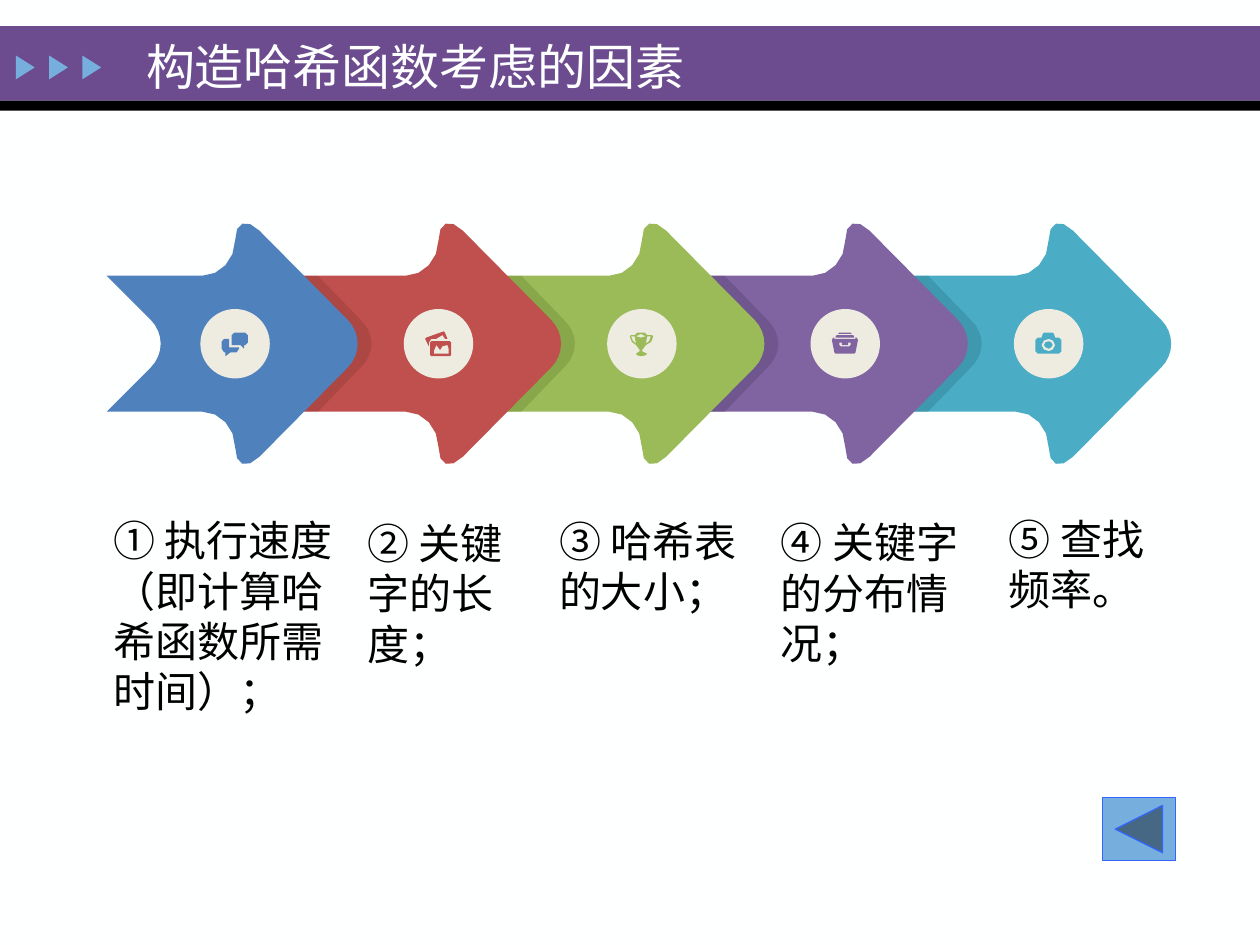
import pptx
import pptx.util
import pptx.dml.color
import pptx.enum.shapes
import pptx.enum.text
import pptx.oxml
import pptx.oxml.ns

Cm, Pt = pptx.util.Cm, pptx.util.Pt
SHAPE = pptx.enum.shapes.MSO_SHAPE
FONT = "Times New Roman"

# Outlines: a pair is a corner, six numbers are a Bezier curve to the last pair.
# Arrow parts are upper halves in cm, measured from the tail on the centre line.
HEAD = [(5.87, 0), (5.87, -0.18, 5.8, -0.35, 5.67, -0.48), (3.89, -2.28),
        (3.63, -2.54, 3.4, -2.46, 3.4, -2.08), (3.4, -1.7, 3.1, -1.37, 2.74, -1.37)]
ROUND_TAIL = [(0.69, -1.37), (0.3, -1.37, 0, -1.07, 0, -0.69)]
NOTCHED_TAIL = [(0.81, -1.37), (1.7, -0.48), (1.83, -0.35, 1.9, -0.18, 1.9, 0)]
SHADE = [(2.05, 0), (2.05, -0.18, 1.97, -0.35, 1.83, -0.48), (0.97, -1.37)] + ROUND_TAIL

# Icons, in units of 0.025 cm
CHAT = [
    [(6, 13), (6, 6), (2, 6), (0, 8), (0, 14), (2, 17), (3, 17), (3, 20), (7, 17),
     (12, 17), (14, 14), (14, 13)],
    [(19, 1), (10, 1), (8, 3), (8, 11), (15, 11), (18, 14), (18, 11), (19, 11),
     (21, 9), (21, 3)]]
PHOTOS = [
    [(18, 6), (16, 1), (15, 0), (1, 5), (0, 6), (3, 12), (3, 9), (5, 6), (9, 6),
     (14, 3), (16, 6)],
    [(20, 8), (5, 8), (4, 9), (4, 19), (5, 20), (20, 20), (21, 19), (21, 9)],
    [(19, 18), (7, 18), (7, 16), (9, 11), (12, 15), (14, 12), (18, 11), (19, 14)]]
TROPHY = [
    [(11, 15), (14, 11), (17, 10, 20, 8, 20, 4), (19, 3), (15, 3),
     (13, 1), (7, 1), (5, 3), (2, 3), (1, 4), (1, 8, 4, 10, 6, 11),
     (9, 15), (9, 16), (6, 18), (6, 19, 8, 20, 10, 20),
     (13, 20, 15, 19, 15, 18), (11, 16)],
    [(14, 10), (15, 4), (18, 4), (18, 7, 16, 9, 14, 10)],
    [(10, 2), (14, 4), (10, 5), (6, 4)],
    [(2, 4), (5, 4), (6, 10), (4, 9, 3, 7, 2, 4)]]
DRAWER = [
    [(18, 4), (17, 3), (4, 3), (3, 4), (3, 5), (18, 5)],
    [(15, 1), (6, 1), (5, 2), (16, 2)],
    [(20, 5), (19, 5), (19, 6), (2, 6), (2, 5), (1, 5), (0, 7), (2, 17), (3, 18),
     (18, 18), (19, 17), (21, 7)],
    [(15, 11), (14, 12), (7, 12), (6, 11), (6, 9), (8, 9), (8, 11), (13, 11),
     (13, 9), (15, 9)]]
CAMERA = [
    [(11, 8), (9, 8, 7, 9, 7, 11), (7, 12, 9, 14, 11, 14), (12, 14, 14, 12, 14, 11),
     (14, 9, 12, 8, 11, 8)],
    [(19, 5), (16, 5), (15, 2), (14, 1), (7, 1), (6, 2), (5, 5), (2, 5), (0, 7),
     (0, 16), (2, 18), (19, 18), (21, 16), (21, 7)],
    [(11, 16), (8, 16, 5, 14, 5, 11), (5, 8, 8, 6, 11, 6), (13, 6, 16, 8, 16, 11),
     (16, 14, 13, 16, 11, 16)]]

# Arrow colour, shade colour and opacity, icon
STEPS = [("4F81BD", None, 0, CHAT), ("C0504D", "632523", 20, PHOTOS),
         ("9BBB59", "77933C", 50, TROPHY), ("8064A2", "604A7B", 50, DRAWER),
         ("4BACC6", "31859C", 50, CAMERA)]
# Text, left, width, height
FACTORS = [("① 执行速度（即计算哈希函数所需时间）；", 2.03, 5.03, 4.14),
           ("② 关键字的长度；", 7.16, 3.76, 3.23),
           ("③ 哈希表的大小；", 11.02, 4.45, 2.13),
           ("④ 关键字的分布情况；", 15.49, 4.17, 3.2),
           ("⑤ 查找频率。", 20.09, 3.68, 2.06)]


def rgb(color):
    return pptx.dml.color.RGBColor.from_string(color)


def paint(sp, color, line=None, opacity=100):
    sp.shadow.inherit = False
    sp.fill.solid()
    sp.fill.fore_color.rgb = rgb(color)
    if opacity < 100:
        clr = sp._element.spPr.find(".//" + pptx.oxml.ns.qn("a:srgbClr"))
        clr.append(pptx.oxml.parse_xml(
            f'<a:alpha {pptx.oxml.ns.nsdecls("a")} val="{opacity * 1000}"/>'))
    if line:
        sp.line.color.rgb = rgb(line)
        sp.line.width = Pt(0.75)
    else:
        sp.line.fill.background()


def add_preset(s, kind, x, y, w, h, color, line=None):
    sp = s.shapes.add_shape(kind, Cm(x), Cm(y), Cm(w), Cm(h))
    paint(sp, color, line)
    return sp


def trace(outline, steps):
    """Turn corners and curves into a list of points."""
    points = []
    for seg in outline:
        if len(seg) == 2:
            points.append(seg)
            continue
        (x0, y0), (x1, y1, x2, y2, x3, y3) = points[-1], seg
        for i in range(1, steps + 1):
            t = i / steps
            a, b, c, d = (1 - t) ** 3, 3 * t * (1 - t) ** 2, 3 * t * t * (1 - t), t ** 3
            points.append((a * x0 + b * x1 + c * x2 + d * x3,
                           a * y0 + b * y1 + c * y2 + d * y3))
    return points


def mirror(half):
    points = trace(half, 4)
    return points + [(x, -y) for x, y in reversed(points) if y]


def add_outline(s, contours, x, y, color, unit=1.0, opacity=100):
    placed = [[(Cm(x + px * unit), Cm(y + py * unit)) for px, py in c] for c in contours]
    fb = s.shapes.build_freeform(*placed[0][0], scale=1.0)
    for i, points in enumerate(placed):
        if i:
            fb.move_to(*points[0])
        fb.add_line_segments(points[1:], close=True)
    paint(fb.convert_to_shape(), color, opacity=opacity)


def write(sp, text, size, color):
    tf = sp.text_frame
    tf.word_wrap = True
    tf.auto_size = pptx.enum.text.MSO_AUTO_SIZE.NONE
    tf.vertical_anchor = pptx.enum.text.MSO_ANCHOR.MIDDLE
    p = tf.paragraphs[0]
    p.text = text
    p.alignment = pptx.enum.text.PP_ALIGN.LEFT
    p.font.size, p.font.name = Pt(size), FONT
    p.font.color.rgb = rgb(color)


def add_header(s, x, y, w, h):
    # Band with its black rule
    add_preset(s, SHAPE.RECTANGLE, x, y, w, h, "6C4C8F")
    add_preset(s, SHAPE.RECTANGLE, x, y + h, w, 0.2, "000000")
    # Three pointers
    for i in range(3):
        tri = add_preset(s, SHAPE.ISOSCELES_TRIANGLE, x + 0.27 + 0.67 * i, y + 0.64,
                         0.48, 0.38, "76AEDD")
        tri.rotation = 90
    # Title, brought in front of the band
    title = s.shapes.title
    title.left, title.top = Cm(x + 2.69), Cm(y + 0.08)
    title.width, title.height = Cm(13.8), Cm(1.42)
    write(title, "构造哈希函数考虑的因素", 28, "FEFFFF")
    s.shapes._spTree.append(title._element)


def add_arrows(s, x, y, pitch):
    # Arrows from last to first, so each head overlaps the next tail
    for i, (color, shade, opacity, _) in reversed(list(enumerate(STEPS))):
        tail = ROUND_TAIL if shade else NOTCHED_TAIL
        add_outline(s, [mirror(HEAD + tail)], x + i * pitch, y, color)
        if shade:
            add_outline(s, [mirror(SHADE)], x + i * pitch, y, shade, opacity=opacity)
    # Discs with icons
    for i, (color, _, _, icon) in enumerate(STEPS):
        left, top = x + i * pitch + 2.7, y - 0.7
        add_preset(s, SHAPE.OVAL, left, top, 1.4, 1.4, "EEECE1")
        add_outline(s, [trace(c, 2) for c in icon], left + 0.43, top + 0.45, color, unit=0.025)


def add_factors(s, y):
    for text, x, w, h in FACTORS:
        write(s.shapes.add_textbox(Cm(x), Cm(y), Cm(w), Cm(h)), text, 24, "000000")


def add_back_button(s, x, y, w, h):
    sp = add_preset(s, SHAPE.ACTION_BUTTON_FORWARD_OR_NEXT, x, y, w, h, "76AEDD", "3366FF")
    sp._element.spPr.xfrm.set("flipH", "1")


def main():
    prs = pptx.Presentation()
    prs.slide_width, prs.slide_height = Cm(25.4), Cm(19.05)
    s = prs.slides.add_slide(prs.slide_layouts[5])
    s.background.fill.solid()
    s.background.fill.fore_color.rgb = rgb("FEFFFF")
    add_header(s, 0, 0.53, 25.4, 1.5)
    add_arrows(s, 1.34, 6.93, 4.1)
    add_factors(s, 10.34)
    add_back_button(s, 22.22, 16.08, 1.48, 1.27)
    prs.save("out.pptx")


if __name__ == "__main__":
    main()
